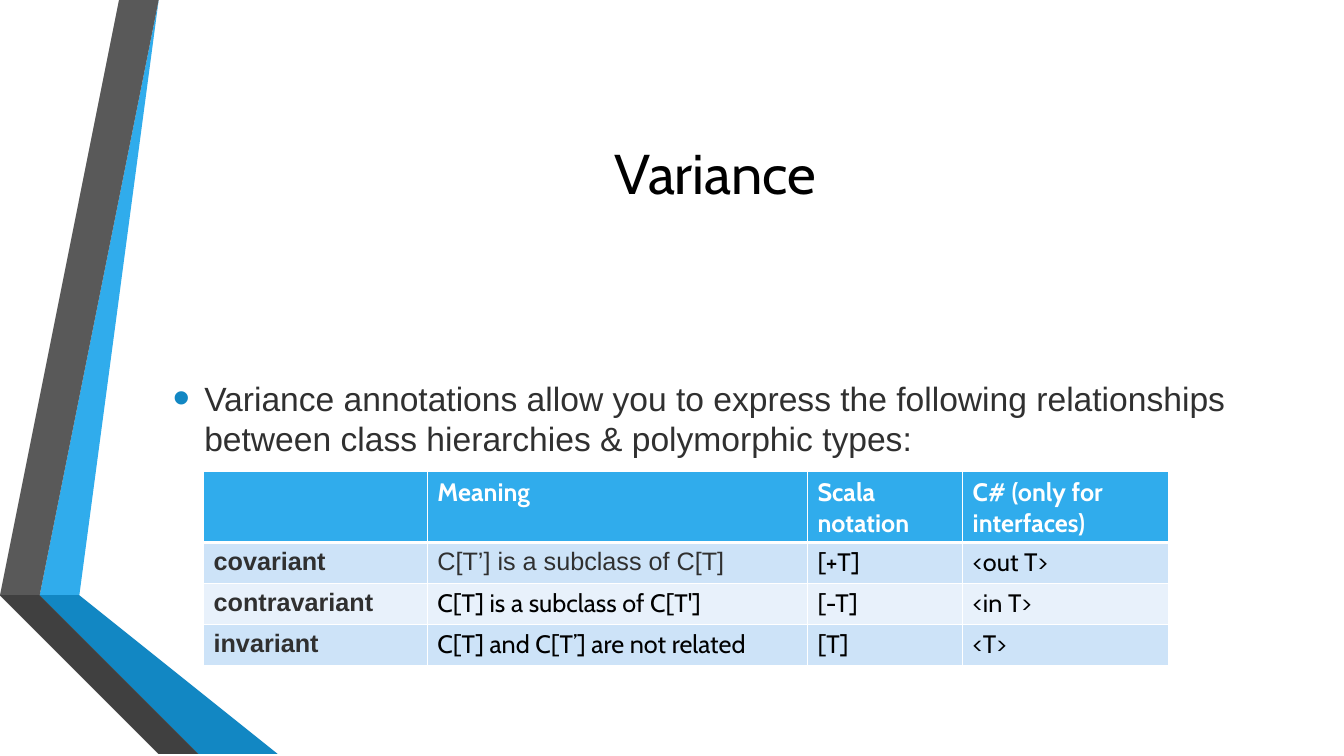
from lxml.etree import SubElement
from pptx import Presentation
from pptx.dml.color import RGBColor
from pptx.enum.text import MSO_ANCHOR as Anchor, PP_ALIGN as Align
from pptx.oxml.ns import qn
from pptx.util import Cm, Pt

COLORS = {
    "sky": "30ACEC", "blue": "1287C3", "navy": "0C5A82",
    "gray": "595959", "charcoal": "404040", "soot": "262626",
    "text": "303030", "black": "000000", "white": "FFFFFF",
    "odd": "CDE3F8", "even": "E8F1FB",
}
RIBBONS = [
    ("sky", [(1.27, 14.68), (1.96, 14.81), (4.39, 0), (3.68, 0)]),
    ("gray", [(3.53, 0), (2.82, 0), (0.41, 14.55), (1.12, 14.66)]),
    ("soot", [(0.41, 14.55), (3.68, 19.05), (3.84, 19.05)]),
    ("navy", [(1.27, 14.71), (5.28, 19.05), (5.44, 19.05)]),
    ("blue", [(1.27, 14.68), (1.27, 14.71), (5.44, 19.05), (7.19, 19.05), (1.96, 14.81)]),
    ("charcoal", [(5.13, 19.05), (1.22, 14.83), (1.09, 14.68), (1.12, 14.66),
                  (0.41, 14.55), (3.84, 19.05)]),
]
TITLE = "Variance"
STATEMENT = ("Variance annotations allow you to express the following relationships "
             "between class hierarchies & polymorphic types:")
ROWS = [
    ["", "Meaning", "Scala notation", "C# (only for interfaces)"],
    ["covariant", "C[T’] is a subclass of C[T]", "[+T]", "<out T>"],
    ["contravariant", "C[T] is a subclass of C[T']", "[-T]", "<in T>"],
    ["invariant", "C[T] and C[T’] are not related", "[T]", "<T>"],
]
COLUMN_WIDTHS = [5.64, 9.58, 3.91, 5.18]
ROW_HEIGHTS = [1.78, 1.03, 1.03, 1.03]
FORMATS = {
    "title": {"name": "Cabin", "size": Pt(40), "bold": False, "color": "black"},
    "statement": {"name": "Arial", "size": Pt(24), "bold": False, "color": "text"},
    "header": {"name": "Cabin", "size": Pt(18), "bold": True, "color": "white"},
    "label": {"name": "Arial", "size": Pt(18), "bold": True, "color": "text"},
    "meaning": {"name": "Arial", "size": Pt(18), "bold": False, "color": "text"},
    "value": {"name": "Cabin", "size": Pt(18), "bold": False, "color": "black"},
}


def rgb(color):
    return RGBColor.from_string(COLORS[color])


def write(paragraph, text, style):
    run = paragraph.add_run()
    run.text = text
    for key, value in FORMATS[style].items():
        if key == "color":
            run.font.color.rgb = rgb(value)
        else:
            setattr(run.font, key, value)


def add_bullet(paragraph):
    properties = paragraph._p.get_or_add_pPr()
    properties.set("marL", str(Cm(0.79)))
    properties.set("indent", str(-Cm(0.79)))
    color = SubElement(properties, qn("a:buClr"))
    SubElement(color, qn("a:srgbClr"), val=COLORS["blue"])
    SubElement(properties, qn("a:buSzPct"), val="145000")
    SubElement(properties, qn("a:buFont"), typeface="Arial")
    SubElement(properties, qn("a:buChar"), char="•")


def add_borders(cell, widths):
    properties = cell._tc.get_or_add_tcPr()
    for side, width in widths.items():
        line = SubElement(properties, qn(f"a:ln{side}"), w=str(Pt(width)))
        fill = SubElement(line, qn("a:solidFill"))
        SubElement(fill, qn("a:srgbClr"), val=COLORS["white"])


def cell_style(row, column):
    if row == 0:
        return "header"
    if column == 0:
        return "label"
    return "meaning" if (row, column) == (1, 1) else "value"


presentation = Presentation()
presentation.slide_width, presentation.slide_height = Cm(33.87), Cm(19.05)
slide = presentation.slides.add_slide(presentation.slide_layouts[5])

for color, points in RIBBONS:
    builder = slide.shapes.build_freeform(*points[0], scale=Cm(1))
    builder.add_line_segments(points[1:], close=True)
    ribbon = builder.convert_to_shape()
    ribbon.shadow.inherit = False
    ribbon.fill.solid()
    ribbon.fill.fore_color.rgb = rgb(color)
    ribbon.line.fill.background()

title = slide.shapes.title
title.left, title.top, title.width, title.height = Cm(4.11), Cm(1.9), Cm(27.84), Cm(4.88)
title.text_frame.vertical_anchor = Anchor.MIDDLE
title_paragraph = title.text_frame.paragraphs[0]
title_paragraph.alignment = Align.CENTER
write(title_paragraph, TITLE, "title")

statement = slide.shapes.add_textbox(Cm(4.11), Cm(9.39), Cm(27.84), Cm(2.3))
statement.text_frame.word_wrap = True
add_bullet(statement.text_frame.paragraphs[0])
write(statement.text_frame.paragraphs[0], STATEMENT, "statement")

table = slide.shapes.add_table(
    len(ROWS), len(COLUMN_WIDTHS), Cm(5.13), Cm(11.89),
    Cm(sum(COLUMN_WIDTHS)), Cm(sum(ROW_HEIGHTS))).table
for column, width in zip(table.columns, COLUMN_WIDTHS):
    column.width = Cm(width)
for row, height in zip(table.rows, ROW_HEIGHTS):
    row.height = Cm(height)

for row, texts in enumerate(ROWS):
    fill = "sky" if row == 0 else "odd" if row % 2 else "even"
    for column, text in enumerate(texts):
        cell = table.cell(row, column)
        add_borders(cell, {"L": 1, "R": 1, "T": 3 if row == 1 else 1, "B": 3 if row == 0 else 1})
        cell.fill.solid()
        cell.fill.fore_color.rgb = rgb(fill)
        if text:
            write(cell.text_frame.paragraphs[0], text, cell_style(row, column))

presentation.save("out.pptx")
